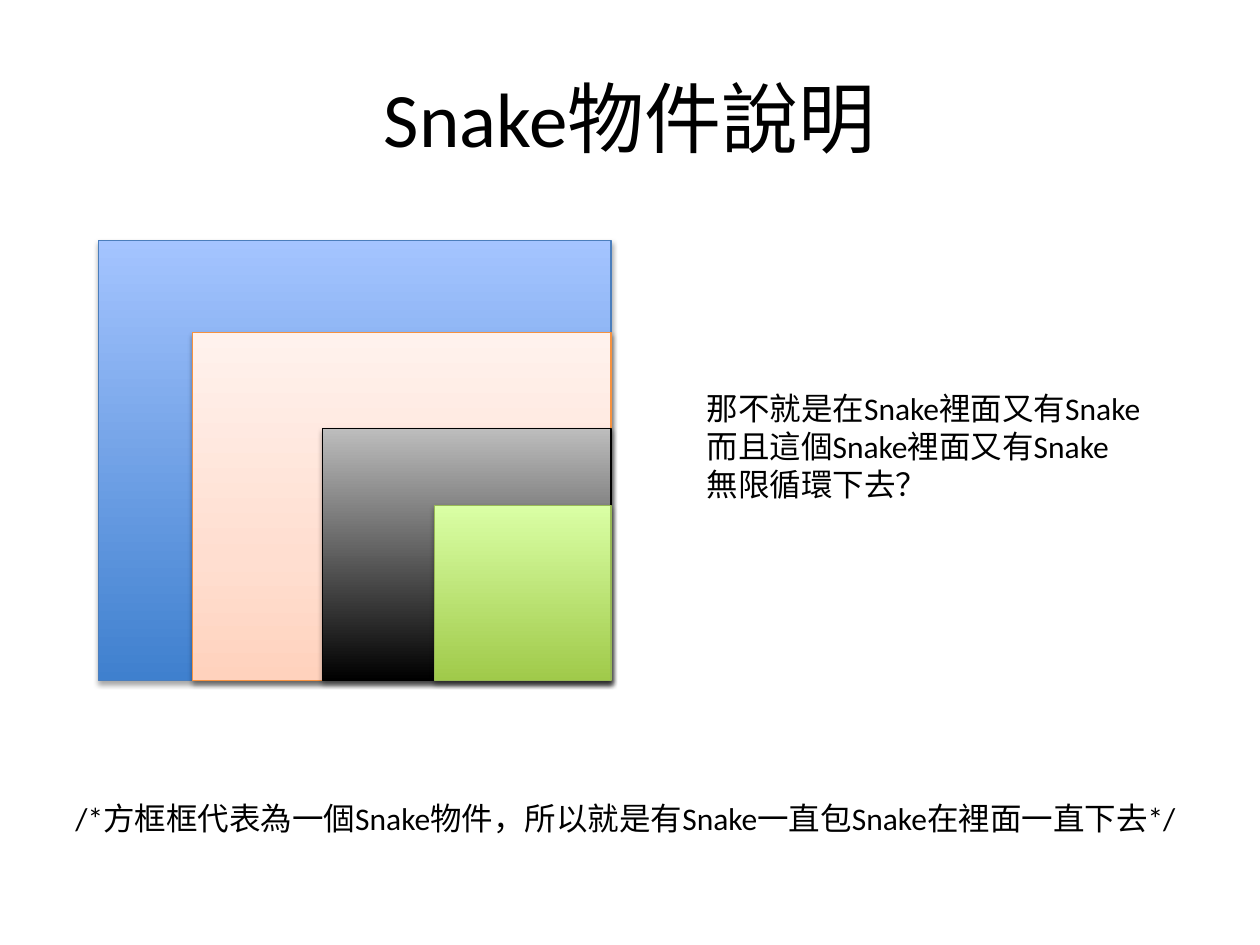
from copy import deepcopy
from dataclasses import dataclass

from pptx import Presentation
from pptx.dml.color import RGBColor
from pptx.enum.shapes import MSO_SHAPE
from pptx.enum.text import MSO_ANCHOR, PP_ALIGN
from pptx.oxml import parse_xml
from pptx.oxml.ns import nsdecls, qn
from pptx.util import Inches, Pt


@dataclass(frozen=True)
class Theme:
    font: str = "Calibri"
    text: str = "000000"
    shadow: str = "000000"
    title_size: int = 44
    body_size: int = 18
    line_width: float = 0.75


THEME = Theme()

# All nested boxes share this lower right corner
CORNER_X, CORNER_Y = 4.85, 5.4

# left, top, line colour, gradient stops (bottom to top), shadow (opacity, distance)
BOXES = [
    (0.78, 1.91, "4B7EBC", [(0, "3F80CE"), (1, "A4C4FF")], (35, 1.8)),
    (1.53, 2.64, "F69240",
     [(0, "FFD2BD"), (0.35, "FFDED0"), (1, "FFF2ED")], (38, 1.6)),
    (2.56, 3.4, "000000", [(0, "000000"), (1, "BDBDBD")], (35, 1.8)),
    (3.45, 4.01, "98B955", [(0, "A0CA4A"), (1, "DAFFA5")], (35, 1.8)),
]


def rgb(value):
    return RGBColor.from_string(value)


def apply_format(target, values):
    for name, value in values.items():
        setattr(target, name, value)


def add_text(slide, at, text, size, align=PP_ALIGN.LEFT, anchor=MSO_ANCHOR.TOP):
    tf = slide.shapes.add_textbox(*map(Inches, at)).text_frame
    apply_format(tf, {"word_wrap": True, "vertical_anchor": anchor})
    p = tf.paragraphs[0]
    p.text = text
    p.alignment = align
    for r in p.runs:
        apply_format(r.font, {"name": THEME.font, "size": Pt(size)})
        r.font.color.rgb = rgb(THEME.text)


def set_gradient(sp, stops):
    sp.fill.gradient()
    sp.fill.gradient_angle = 90
    # A new gradient has two stops; add any that are missing
    gs_list = next(sp._element.spPr.iter(qn("a:gsLst")))
    while len(gs_list) < len(stops):
        gs_list.append(deepcopy(gs_list[0]))
    for stop, (position, color) in zip(sp.fill.gradient_stops, stops):
        stop.position = position
        stop.color.rgb = rgb(color)


def set_shadow(sp, opacity, distance):
    sp.shadow.inherit = False
    effects = sp._element.spPr.find(qn("a:effectLst"))
    effects.append(parse_xml(
        f'<a:outerShdw {nsdecls("a")} blurRad="{Pt(3.1)}" dist="{Pt(distance)}" '
        f'dir="5400000" rotWithShape="0"><a:srgbClr val="{THEME.shadow}">'
        f'<a:alpha val="{opacity * 1000}"/></a:srgbClr></a:outerShdw>'))


def add_box(slide, left, top, line, stops, shadow):
    at = (left, top, CORNER_X - left, CORNER_Y - top)
    sp = slide.shapes.add_shape(MSO_SHAPE.RECTANGLE, *map(Inches, at))
    set_gradient(sp, stops)
    sp.line.color.rgb = rgb(line)
    sp.line.width = Pt(THEME.line_width)
    set_shadow(sp, *shadow)


def main():
    prs = Presentation()
    apply_format(prs, {"slide_width": Inches(10), "slide_height": Inches(7.5)})
    slide = prs.slides.add_slide(prs.slide_layouts[6])

    # Title
    add_text(slide, (0.5, 0.3, 9, 1.25), "Snake物件說明", THEME.title_size,
             PP_ALIGN.CENTER, MSO_ANCHOR.MIDDLE)

    # Nested objects, outermost first
    for box in BOXES:
        add_box(slide, *box)

    # Question and closing remark
    question = ("那不就是在Snake裡面又有Snake", "而且這個Snake裡面又有Snake",
                "無限循環下去？")
    add_text(slide, (5.51, 3.04, 3.88, 1.01), "\v".join(question), THEME.body_size)
    add_text(slide, (0.5, 6.29, 9.5, 0.4),
             "/*方框框代表為一個Snake物件，所以就是有Snake一直包Snake在裡面一直下去*/",
             THEME.body_size)

    prs.save("out.pptx")


main()
